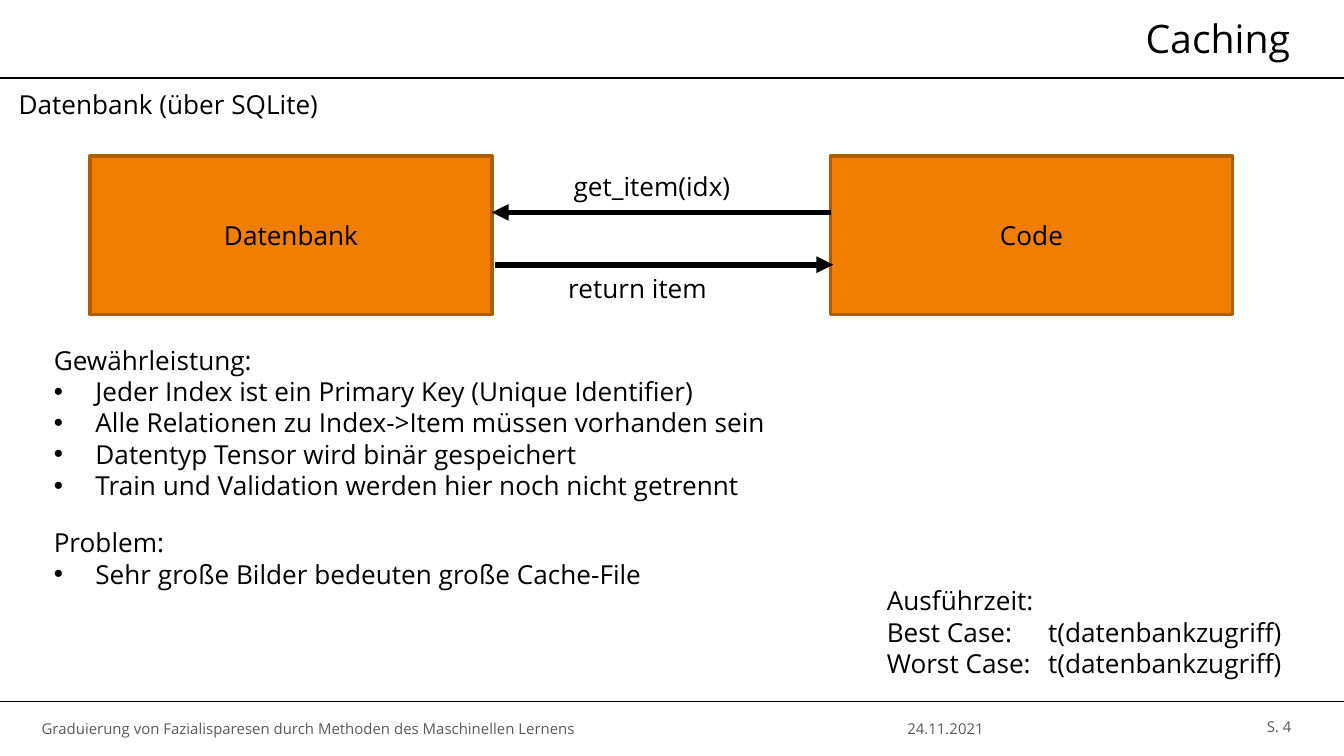
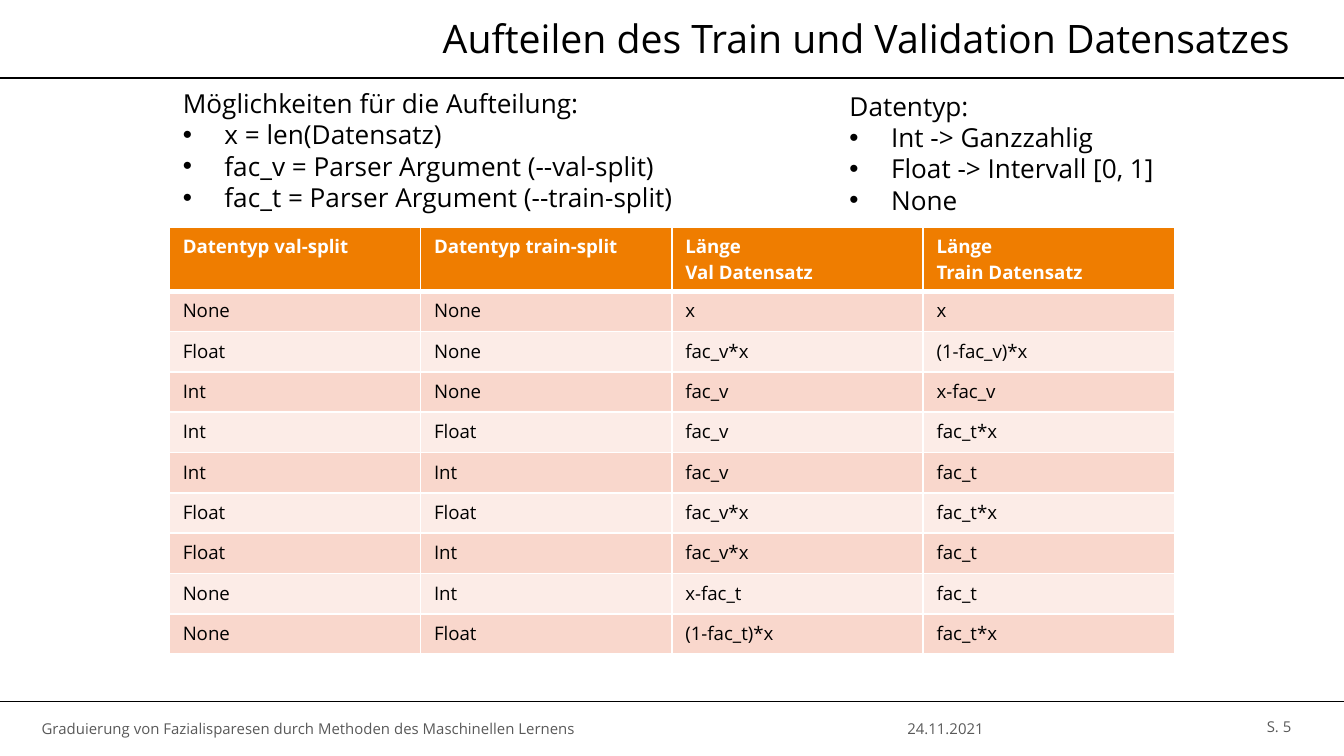
import pptx
import pptx.util
import pptx.dml.color
import pptx.enum.text
import pptx.enum.shapes
import pptx.oxml.ns
import lxml.etree

Inches = pptx.util.Inches
Pt = pptx.util.Pt
RGB = pptx.dml.color.RGBColor.from_string
ALIGN = pptx.enum.text.PP_ALIGN
ANCHOR = pptx.enum.text.MSO_ANCHOR
qn = pptx.oxml.ns.qn
sub = lxml.etree.SubElement

HUES = {
    "ink": "000000",
    "paper": "FFFFFF",
    "grey": "595959",
    "orange": "EF7D00",
    "edge": "B15C00",
    "odd": "F9D7CC",
    "even": "FCECE7",
}
FONT = "Open Sans"
FOOTER = "Graduierung von Fazialisparesen durch Methoden des Maschinellen Lernens"
DATE = "24.11.2021"


def write(frame, text, size=14, hue="ink", align=ALIGN.LEFT,
          anchor=ANCHOR.TOP, bold=False):
    """Set the text of a frame and format each paragraph and run."""
    frame.text = text
    frame.word_wrap = True
    frame.vertical_anchor = anchor
    for para in frame.paragraphs:
        para.alignment = align
        para.line_spacing = 1.0
        para.space_before = Pt(0)
        for run in para.runs:
            run.font.name = FONT
            run.font.size = Pt(size)
            run.font.bold = bold
            run.font.color.rgb = RGB(HUES[hue])


def draw(slide, start, end, width, arrow=False):
    """Draw a straight black line, with an arrowhead at its end if wanted."""
    line = slide.shapes.add_connector(
        pptx.enum.shapes.MSO_CONNECTOR.STRAIGHT, *map(Inches, start + end))
    line.line.color.rgb = RGB(HUES["ink"])
    line.line.width = Pt(width)
    if arrow:
        sub(line.line._get_or_add_ln(), qn("a:tailEnd"), type="triangle")
    sub(line._element.spPr, qn("a:effectLst"))


deck = pptx.Presentation()
deck.slide_width = Inches(10)
deck.slide_height = deck.slide_width * 9 // 16

# Title, left edge of the title, and two lists with their places
pages = [
    ("Caching", 2.95, [
        ((0.3, 2.51, 6.69, 1.28), [
            "Gewährleistung:",
            "Jeder Index ist ein Primary Key (Unique Identifier)",
            "Alle Relationen zu Index->Item müssen vorhanden sein",
            "Datentyp Tensor wird binär gespeichert",
            "Train und Validation werden hier noch nicht getrennt"]),
        ((0.3, 3.87, 5.49, 0.57), [
            "Problem:",
            "Sehr große Bilder bedeuten große Cache-File"]),
    ]),
    ("Aufteilen des Train und Validation Datensatzes", 2.48, [
        ((1.26, 0.6, 5.04, 1.04), [
            "Möglichkeiten für die Aufteilung:",
            "x = len(Datensatz)",
            "fac_v = Parser Argument (--val-split)",
            "fac_t = Parser Argument (--train-split)"]),
        ((6.22, 0.62, 2.8, 1.04), [
            "Datentyp:",
            "Int -> Ganzzahlig",
            "Float -> Intervall [0, 1]",
            "None"]),
    ]),
]

# Shared frame: rules, title, footer and lists
for page, (head, left, lists) in enumerate(pages, 4):
    slide = deck.slides.add_slide(deck.slide_layouts[3])
    for y in (0.58, 5.22):
        draw(slide, (0, y), (10, y), 0.75)

    title, *bodies = slide.placeholders
    title.left, title.top = Inches(left), Inches(0.11)
    title.width, title.height = Inches(9.67 - left), Inches(0.35)
    write(title.text_frame, head, 21, align=ALIGN.RIGHT,
          anchor=ANCHOR.MIDDLE)
    parts = [(title, 0)]

    for spot, text, align, inset in [
        ((5.24, 5.22, 3.59, 0.4), DATE, ALIGN.CENTER, 0.07),
        ((0.31, 5.22, 4.93, 0.4), FOOTER, ALIGN.LEFT, 0),
        ((8.81, 5.21, 0.87, 0.4), f"S. {page}", ALIGN.RIGHT, 0.07),
    ]:
        box = slide.shapes.add_textbox(*map(Inches, spot))
        write(box.text_frame, text, 8, "grey", align, ANCHOR.MIDDLE)
        parts.append((box, inset))

    for part, inset in parts:
        frame = part.text_frame
        frame.auto_size = pptx.enum.text.MSO_AUTO_SIZE.NONE
        frame.margin_left = Inches(inset)
        frame.margin_right = Inches(0.07)
        frame.margin_top = frame.margin_bottom = Inches(0.04)

    for body, (spot, lines) in zip(bodies, lists):
        body.left, body.top, body.width, body.height = map(Inches, spot)
        frame = body.text_frame
        write(frame, "\n".join(lines))
        frame.auto_size = pptx.enum.text.MSO_AUTO_SIZE.NONE
        for i, para in enumerate(frame.paragraphs):
            props = para._p.get_or_add_pPr()
            dent = Inches(0.31) if i else 0
            props.set("marL", str(dent))
            props.set("indent", str(-dent))
            if i:
                sub(props, qn("a:buFont"), typeface="Arial")
                sub(props, qn("a:buChar"), char="•")
            else:
                sub(props, qn("a:buNone"))

cache, split = deck.slides

# Database and code with the calls between them
for left, text in [(0.67, "Datenbank"), (6.18, "Code")]:
    block = cache.shapes.add_shape(
        pptx.enum.shapes.MSO_SHAPE.RECTANGLE,
        *map(Inches, (left, 1.16, 2.99, 1.18)))
    block.shadow.inherit = False
    block.fill.solid()
    block.fill.fore_color.rgb = RGB(HUES["orange"])
    block.line.color.rgb = RGB(HUES["edge"])
    block.line.width = Pt(2)
    write(block.text_frame, text, align=ALIGN.CENTER, anchor=ANCHOR.MIDDLE)

draw(cache, (6.18, 1.58), (3.66, 1.58), 3, arrow=True)
draw(cache, (3.68, 1.97), (6.2, 1.97), 3, arrow=True)

for spot, text in [
    ((0.04, 0.61, 5.2, 0.34), "Datenbank (über SQLite)"),
    ((4.17, 1.22, 1.46, 0.34), "get_item(idx)"),
    ((4.13, 1.98, 1.34, 0.34), "return item"),
    ((6.5, 4.3, 3.78, 0.81), "Ausführzeit:\n"
     "Best Case:\tt(datenbankzugriff)\nWorst Case:\tt(datenbankzugriff)"),
]:
    note = cache.shapes.add_textbox(*map(Inches, spot))
    write(note.text_frame, text)

for para in note.text_frame.paragraphs[1:]:
    tabs = sub(para._p.get_or_add_pPr(), qn("a:tabLst"))
    sub(tabs, qn("a:tab"), pos=str(Inches(1.2)), algn="l")

# Table of split lengths
rows = [
    ("Datentyp val-split", "Datentyp train-split",
     "Länge\nVal Datensatz", "Länge\nTrain Datensatz"),
    ("None", "None", "x", "x"),
    ("Float", "None", "fac_v*x", "(1-fac_v)*x"),
    ("Int", "None", "fac_v", "x-fac_v"),
    ("Int", "Float", "fac_v", "fac_t*x"),
    ("Int", "Int", "fac_v", "fac_t"),
    ("Float", "Float", "fac_v*x", "fac_t*x"),
    ("Float", "Int", "fac_v*x", "fac_t"),
    ("None", "Int", "x-fac_t", "fac_t"),
    ("None", "Float", "(1-fac_t)*x", "fac_t*x"),
]
table = split.shapes.add_table(
    len(rows), 4, *map(Inches, (1.26, 1.69, 7.48, 3.12))).table
for col in table.columns:
    col.width = Inches(1.87)

for r, row in enumerate(rows):
    table.rows[r].height = Inches(0.3 if r else 0.42)
    fill = ("even", "odd")[r % 2] if r else "orange"
    for c, text in enumerate(row):
        cell = table.cell(r, c)
        write(cell.text_frame, text, 10, "ink" if r else "paper",
              bold=r == 0)
        props = cell._tc.get_or_add_tcPr()
        for side in "LRTB":
            thick = (r, side) in [(0, "B"), (1, "T")]
            edge = sub(props, qn(f"a:ln{side}"), w=str(Pt(3 if thick else 1)))
            paint = sub(edge, qn("a:solidFill"))
            sub(paint, qn("a:srgbClr"), val=HUES["paper"])
        cell.fill.solid()
        cell.fill.fore_color.rgb = RGB(HUES[fill])

deck.save("out.pptx")
